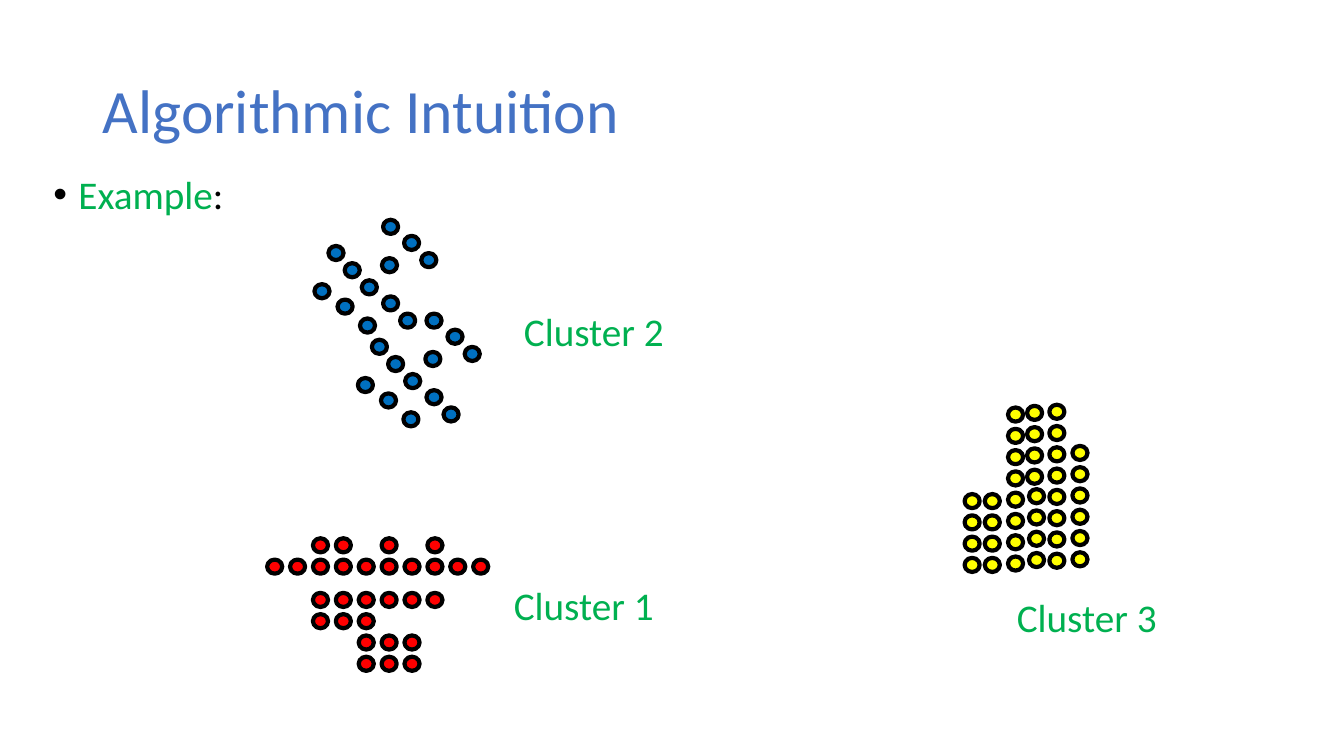
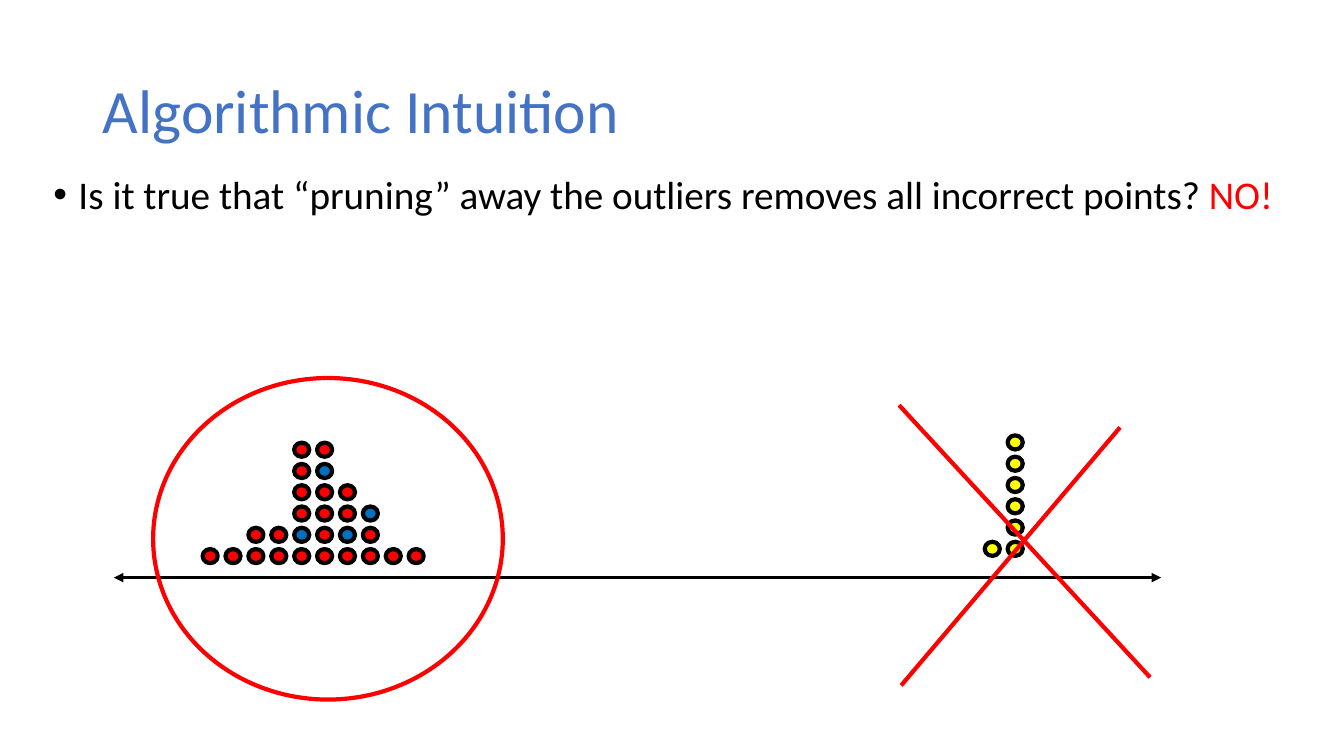
from lxml import etree
from pptx import Presentation
from pptx.dml.color import RGBColor
from pptx.enum import shapes, text
from pptx.oxml import ns
from pptx.util import Pt

TITLE_BLUE = RGBColor(0x44, 0x72, 0xC4)
GREEN = RGBColor(0x00, 0xB0, 0x50)
BLACK = RGBColor(0x00, 0x00, 0x00)
RED = RGBColor(0xFF, 0x00, 0x00)
BLUE = RGBColor(0x00, 0x70, 0xC0)
YELLOW = RGBColor(0xFF, 0xFF, 0x00)

FONT = "Calibri"
TITLE = "Algorithmic Intuition"
TITLE_BOX = (66.2, 28.8, 828, 104.4)
BODY_BOX = (31, 121.7, 897.8, 403.2)
DOT_SIZE = (10.8, 10.1)
COLUMN_STEP = 16.35
ROW_STEP = 15.2
DOT_COLORS = {"R": RED, "B": BLUE, "Y": YELLOW}

CLUSTER_1_TOP = ["..RR.R.R", "RRRRRRRRRR"]
CLUSTER_1_BOTTOM = ["..RRRRRR", "..RRR", "....RRR", "....RRR"]
CLUSTER_2_MOTIF = [
    (0, 46), (16.5, 57), (32.5, 70.5),
    (10, 18.7), (21.6, 31), (33.8, 43.2), (49, 54.7), (61.2, 67),
    (48.2, 27.4), (49, 0), (64, 11.5), (76.3, 23.8),
]
CLUSTER_2_SHIFT = (31, 67)
CLUSTER_3_STACKS = [
    (0, 109, 4), (14.4, 109, 4), (31, 108, 8), (44.6, 46, 4),
    (46, 105.5, 4), (60.5, 106, 8), (77, 105, 6),
]
KEPT_HISTOGRAM = [
    "....RR", "....RB", "....RRR", "....RRRB", "..RRBRBR", "RRRRRRRRRR",
]
PRUNED_HISTOGRAM = [".Y", ".Y", ".Y", ".Y", ".Y", "YY"]


def points(*values):
    return [Pt(value) for value in values]


def style_run(run, size, color):
    run.font.name = FONT
    run.font.size = Pt(size)
    run.font.color.rgb = color


def add_bullet(paragraph):
    properties = paragraph._p.get_or_add_pPr()
    properties.set("marL", str(Pt(18)))
    properties.set("indent", str(-Pt(18)))
    bullet_color = etree.SubElement(properties, ns.qn("a:buClr"))
    etree.SubElement(bullet_color, ns.qn("a:srgbClr"), val=str(BLACK))
    etree.SubElement(properties, ns.qn("a:buFont"), typeface="Arial")
    etree.SubElement(properties, ns.qn("a:buChar"), char="•")


def add_title(slide, box):
    title = slide.shapes.title
    title.left, title.top, title.width, title.height = points(*box)
    frame = title.text_frame
    frame.text = TITLE
    frame.auto_size = text.MSO_AUTO_SIZE.NONE
    frame.vertical_anchor = text.MSO_ANCHOR.MIDDLE
    paragraph = frame.paragraphs[0]
    paragraph.alignment = text.PP_ALIGN.LEFT
    paragraph.line_spacing = 0.9
    style_run(paragraph.runs[0], 44, TITLE_BLUE)


def add_body(slide, box, pieces):
    frame = slide.shapes.add_textbox(*points(*box)).text_frame
    frame.word_wrap = True
    paragraph = frame.paragraphs[0]
    add_bullet(paragraph)
    paragraph.line_spacing = 0.9
    for wording, color in pieces:
        run = paragraph.add_run()
        run.text = wording
        style_run(run, 28, color)


def add_content_slide(presentation, pieces):
    slide = presentation.slides.add_slide(presentation.slide_layouts[5])
    add_title(slide, TITLE_BOX)
    add_body(slide, BODY_BOX, pieces)
    return slide


def add_ellipse(slide, box, line_color, fill_color=None):
    ellipse = slide.shapes.add_shape(shapes.MSO_SHAPE.OVAL, *points(*box))
    ellipse.shadow.inherit = False
    if fill_color is None:
        ellipse.fill.background()
    else:
        ellipse.fill.solid()
        ellipse.fill.fore_color.rgb = fill_color
    ellipse.line.color.rgb = line_color
    ellipse.line.width = Pt(3)


def add_dot(slide, left, top, color):
    add_ellipse(slide, (left, top, *DOT_SIZE), BLACK, color)


def add_dot_rows(slide, left, top, rows):
    for row_index, row in enumerate(rows):
        for column_index, mark in enumerate(row):
            if mark in DOT_COLORS:
                add_dot(slide, left + column_index * COLUMN_STEP,
                        top + row_index * ROW_STEP, DOT_COLORS[mark])


def add_cluster_2(slide, left, top):
    shift_x, shift_y = CLUSTER_2_SHIFT
    for repeat in range(2):
        for x, y in CLUSTER_2_MOTIF:
            add_dot(slide, left + x + repeat * shift_x,
                    top + y + repeat * shift_y, BLUE)


def add_cluster_3(slide, left, top):
    for x, bottom, count in CLUSTER_3_STACKS:
        for level in range(count):
            add_dot(slide, left + x, top + bottom - level * ROW_STEP, YELLOW)


def add_label(slide, left, top, wording):
    frame = slide.shapes.add_textbox(*points(left, top, 165.6, 41)).text_frame
    frame.word_wrap = True
    frame.text = wording
    style_run(frame.paragraphs[0].runs[0], 28, GREEN)


def add_line(slide, ends, color, width, arrows=False):
    connector = slide.shapes.add_connector(
        shapes.MSO_CONNECTOR.STRAIGHT, *points(*ends))
    connector.line.color.rgb = color
    connector.line.width = Pt(width)
    properties = connector.element.spPr
    if arrows:
        outline = properties.find(ns.qn("a:ln"))
        for end in ("a:headEnd", "a:tailEnd"):
            etree.SubElement(outline, ns.qn(end), type="triangle")
    etree.SubElement(properties, ns.qn("a:effectLst"))


def build_example_slide(presentation):
    slide = add_content_slide(presentation, [("Example", GREEN), (":", BLACK)])
    add_dot_rows(slide, 190.8, 384.5, CLUSTER_1_TOP)
    add_dot_rows(slide, 190.8, 423.5, CLUSTER_1_BOTTOM)
    add_cluster_2(slide, 224.6, 157)
    add_cluster_3(slide, 689, 289.5)
    add_label(slide, 360, 411.8, "Cluster 1")
    add_label(slide, 367.2, 216, "Cluster 2")
    add_label(slide, 719.3, 420.5, "Cluster 3")


def build_pruning_slide(presentation):
    slide = add_content_slide(presentation, [
        ("Is it true that “pruning” away the outliers removes all "
         "incorrect points? ", BLACK),
        ("NO!", RED),
    ])
    add_line(slide, (81.4, 412.6, 829.4, 412.6), BLACK, 2.25, arrows=True)
    add_dot_rows(slide, 144.7, 316.2, KEPT_HISTOGRAM)
    add_dot_rows(slide, 703.4, 311, PRUNED_HISTOGRAM)
    add_ellipse(slide, (109.4, 270, 249.8, 229.7), RED)
    for ends in ((800, 305.3, 643.7, 489.6), (642.2, 289.4, 821.5, 483.8)):
        add_line(slide, ends, RED, 3)


def main():
    presentation = Presentation()
    presentation.slide_width, presentation.slide_height = points(960, 540)
    build_example_slide(presentation)
    build_pruning_slide(presentation)
    presentation.save("out.pptx")


if __name__ == "__main__":
    main()
